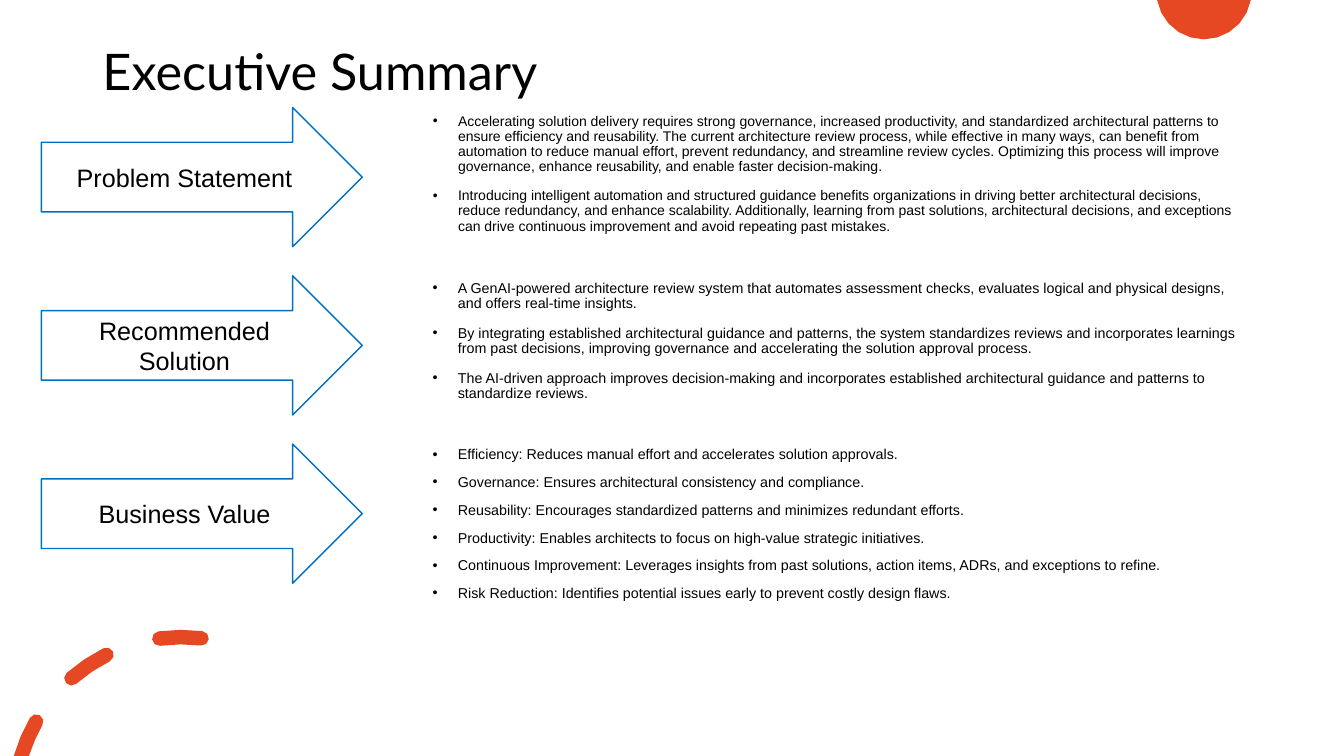
from math import acos, cos, radians, sin, pi

from lxml import etree
from pptx import Presentation
from pptx.dml.color import RGBColor
from pptx.enum.shapes import MSO_SHAPE
from pptx.enum.text import MSO_ANCHOR, MSO_AUTO_SIZE, PP_ALIGN
from pptx.oxml.ns import qn
from pptx.util import Pt

RIGHT_ARROW = MSO_SHAPE.RIGHT_ARROW
LEFT, CENTER = PP_ALIGN.LEFT, PP_ALIGN.CENTER
TOP, MIDDLE = MSO_ANCHOR.TOP, MSO_ANCHOR.MIDDLE
NO_AUTOFIT = MSO_AUTO_SIZE.NONE

TITLE = "Executive Summary"
SECTIONS = [
    {
        "label": "Problem Statement", "size": 10, "spacing": 0.9,
        "top": 77.8, "height": 98,
        "points": [
            "Accelerating solution delivery requires strong governance, increased productivity, and standardized architectural patterns to ensure efficiency and reusability. The current architecture review process, while effective in many ways, can benefit from automation to reduce manual effort, prevent redundancy, and streamline review cycles. Optimizing this process will improve governance, enhance reusability, and enable faster decision-making.",
            "Introducing intelligent automation and structured guidance benefits organizations in driving better architectural decisions, reduce redundancy, and enhance scalability. Additionally, learning from past solutions, architectural decisions, and exceptions can drive continuous improvement and avoid repeating past mistakes.",
        ],
    },
    {
        "label": "Recommended Solution", "size": 10.2, "spacing": 0.9,
        "top": 197.2, "height": 99.4,
        "points": [
            "A GenAI-powered architecture review system that automates assessment checks, evaluates logical and physical designs, and offers real-time insights.",
            "By integrating established architectural guidance and patterns, the system standardizes reviews and incorporates learnings from past decisions, improving governance and accelerating the solution approval process.",
            "The AI-driven approach improves decision-making and incorporates established architectural guidance and patterns to standardize reviews.",
        ],
    },
    {
        "label": "Business Value", "size": 10.2, "spacing": 0.8,
        "top": 317.2, "height": 119.5,
        "points": [
            "Efficiency: Reduces manual effort and accelerates solution approvals.",
            "Governance: Ensures architectural consistency and compliance.",
            "Reusability: Encourages standardized patterns and minimizes redundant efforts.",
            "Productivity: Enables architects to focus on high-value strategic initiatives.",
            "Continuous Improvement: Leverages insights from past solutions, action items, ADRs, and exceptions to refine.",
            "Risk Reduction: Identifies potential issues early to prevent costly design flaws.",
        ],
    },
]

COLORS = {"accent": "E64823", "outline": "0070C0", "text": "000000", "paper": "FFFFFF"}
TITLE_FONT, TEXT_FONT = "Lato", "Arial"
SLIDE_WIDTH, SLIDE_HEIGHT = 960, 540
ARROW_LEFT, ARROW_WIDTH, ARROW_HEIGHT = 29.6, 229.2, 99.4
ARROW_TOP, ARROW_STEP = 76.8, 120.2
LIST_LEFT, LIST_WIDTH = 302, 592
INDENT, POINT_GAP = 18, 10
DISC_CENTER, DISC_RADIUS, DISC_STEPS = (860, -5.9), 34, 10
RING_CENTER, RING_RADIUS, DASH_HALF = (129.6, 574.6), 119.5, 5.2
DASHES = [(None, -60.3), (-41.1, -26.6), (-7.6, 6.9)]
SIDE_STEPS, CAP_STEPS = 2, 4


def color(name):
    return RGBColor.from_string(COLORS[name])


def arc(center, radius, start, end, steps):
    angles = [start + (end - start) * step / steps for step in range(steps + 1)]
    return [(center[0] + radius * sin(a), center[1] - radius * cos(a)) for a in angles]


def draw_outlines(slide, outlines):
    contours = [[(Pt(x), Pt(y)) for x, y in outline] for outline in outlines]
    builder = slide.shapes.build_freeform(*contours[0][0], scale=1.0)
    for index, corners in enumerate(contours):
        if index:
            builder.move_to(*corners[0])
        builder.add_line_segments(corners[1:], close=True)
    shape = builder.convert_to_shape()
    shape.shadow.inherit = False
    shape.fill.solid()
    shape.fill.fore_color.rgb = color("accent")
    shape.line.fill.background()


def dash_outline(start, end):
    outer, inner = RING_RADIUS + DASH_HALF, RING_RADIUS - DASH_HALF
    last = radians(end)

    def first(radius):
        if start is None:
            return -acos((RING_CENTER[1] - SLIDE_HEIGHT) / radius)
        return radians(start)

    def cap(angle, turn):
        middle = arc(RING_CENTER, RING_RADIUS, angle, angle, 1)[0]
        return arc(middle, DASH_HALF, angle + turn, angle + turn + pi, CAP_STEPS)[1:-1]

    points = arc(RING_CENTER, outer, first(outer), last, SIDE_STEPS) + cap(last, 0)
    points += arc(RING_CENTER, inner, last, first(inner), SIDE_STEPS)
    if start is not None:
        points += cap(radians(start), pi)
    return points


def place(shape, left, top, width, height):
    shape.left, shape.top = Pt(left), Pt(top)
    shape.width, shape.height = Pt(width), Pt(height)


def add_run(paragraph, text, font, size):
    run = paragraph.add_run()
    run.text = text
    run.font.name = font
    run.font.size = Pt(size)
    run.font.color.rgb = color("text")


def prepare_frame(shape, anchor):
    frame = shape.text_frame
    frame.word_wrap = True
    frame.auto_size = NO_AUTOFIT
    frame.vertical_anchor = anchor
    return frame


def add_bullet(paragraph):
    properties = paragraph._p.get_or_add_pPr()
    properties.set("marL", str(Pt(INDENT)))
    properties.set("indent", str(-Pt(INDENT)))
    etree.SubElement(properties, qn("a:buFont"), typeface=TEXT_FONT)
    etree.SubElement(properties, qn("a:buChar"), char="•")


def fill_list(shape, section):
    place(shape, LIST_LEFT, section["top"], LIST_WIDTH, section["height"])
    frame = prepare_frame(shape, TOP)
    for index, point in enumerate(section["points"]):
        paragraph = frame.add_paragraph() if index else frame.paragraphs[0]
        paragraph.alignment = LEFT
        paragraph.line_spacing = section["spacing"]
        paragraph.space_before = Pt(POINT_GAP)
        add_bullet(paragraph)
        add_run(paragraph, point, TEXT_FONT, section["size"])


def add_label_arrow(slide, label, top):
    arrow = slide.shapes.add_shape(
        RIGHT_ARROW, Pt(ARROW_LEFT), Pt(top), Pt(ARROW_WIDTH), Pt(ARROW_HEIGHT))
    arrow.shadow.inherit = False
    arrow.fill.solid()
    arrow.fill.fore_color.rgb = color("paper")
    arrow.line.color.rgb = color("outline")
    arrow.line.width = Pt(1)
    paragraph = prepare_frame(arrow, MIDDLE).paragraphs[0]
    paragraph.alignment = CENTER
    add_run(paragraph, label, TEXT_FONT, 18)


def main():
    presentation = Presentation()
    presentation.slide_width = Pt(SLIDE_WIDTH)
    presentation.slide_height = Pt(SLIDE_HEIGHT)
    slide = presentation.slides.add_slide(presentation.slide_layouts[1])

    half_angle = acos(-DISC_CENTER[1] / DISC_RADIUS)
    draw_outlines(slide, [
        arc(DISC_CENTER, DISC_RADIUS, pi - half_angle, pi + half_angle, DISC_STEPS)])
    draw_outlines(slide, [dash_outline(start, end) for start, end in DASHES])

    title = slide.shapes.title
    place(title, 66, 28.8, 828, 48.2)
    paragraph = prepare_frame(title, MIDDLE).paragraphs[0]
    paragraph.alignment = LEFT
    paragraph.line_spacing = 0.9
    add_run(paragraph, TITLE, TITLE_FONT, 36)

    fill_list(slide.placeholders[1], SECTIONS[0])
    for row, section in enumerate(SECTIONS):
        add_label_arrow(slide, section["label"], ARROW_TOP + row * ARROW_STEP)
    for section in SECTIONS[1:]:
        fill_list(slide.shapes.add_textbox(0, 0, 0, 0), section)

    presentation.save("out.pptx")


if __name__ == "__main__":
    main()
